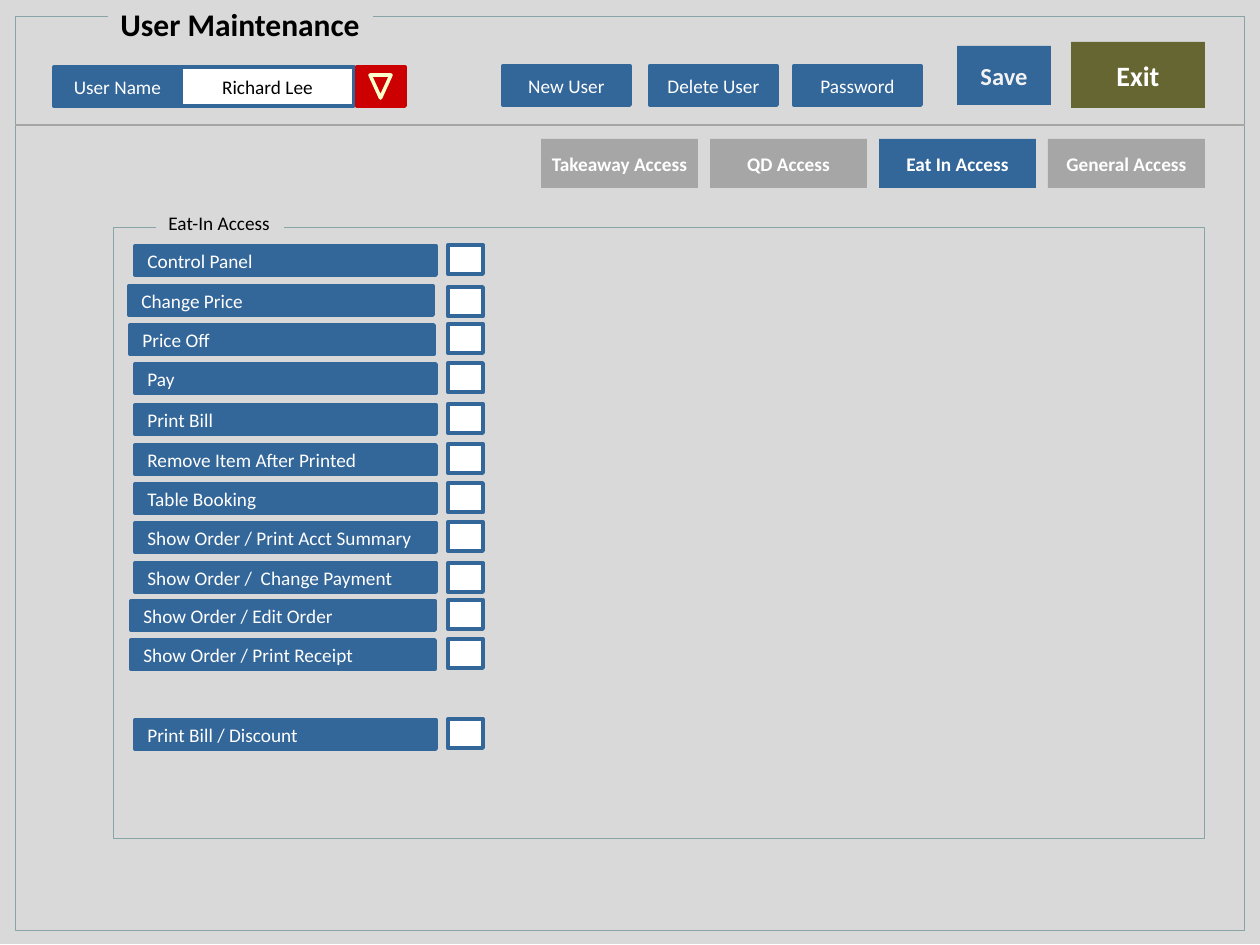
"""Builds the User Maintenance screen mock-up with its Eat-In access list."""
from dataclasses import dataclass

from lxml.etree import SubElement
from pptx import Presentation
from pptx.dml.color import RGBColor
from pptx.enum.shapes import MSO_CONNECTOR as Connector, MSO_SHAPE as Shape
from pptx.enum.text import MSO_ANCHOR as Anchor, PP_ALIGN as Align
from pptx.oxml.ns import qn
from pptx.util import Emu, Pt


@dataclass(frozen=True)
class Theme:
    font: str = "Calibri"
    body: int = 11
    save: int = 14
    exit: int = 16
    title: int = 18
    thin: float = 0.5
    rule: float = 0.75
    arrow: float = 2
    thick: float = 2.25
    blue: str = "336699"
    gray: str = "A6A6A6"
    panel: str = "D9D9D9"
    frame: str = "89A4A7"
    olive: str = "666633"
    red: str = "CC0000"
    cream: str = "FFFFCC"
    white: str = "FFFFFF"
    pale: str = "F2F2F2"
    black: str = "000000"


THEME = Theme()
PX = 914400 / 126
SLIDE_SIZE = (1260, 945)

FRAMES = [(15, 16, 1230, 914), (113, 227, 1092, 612)]
HEADINGS = [
    ("User Maintenance", (108, -1, 265, 50), THEME.title, True),
    ("Eat-In Access", (156, 205, 128, 37), THEME.body, False),
]
USER_BUTTONS = [("New User", 503), ("Delete User", 650), ("Password", 794)]
TABS = ["Takeaway Access", "QD Access", "Eat In Access", "General Access"]
ACTIVE_TAB = "Eat In Access"
TAB_LEFT, TAB_PITCH = 541, 169
BOX_LEFT = 448
PERMISSIONS = [
    ("Control Panel", 135, 246, 245),
    ("Change Price", 129, 286, 287),
    ("Price Off", 130, 325, 324),
    ("Pay", 135, 364, 363),
    ("Print Bill", 135, 405, 404),
    ("Remove Item After Printed", 135, 445, 444),
    ("Table Booking", 135, 484, 483),
    ("Show Order / Print Acct Summary", 135, 523, 522),
    ("Show Order /  Change Payment", 135, 563, 563),
    ("Show Order / Edit Order", 131, 601, 600),
    ("Show Order / Print Receipt", 131, 640, 639),
    ("Print Bill / Discount", 135, 720, 719),
]


def emu(*lengths):
    return [Emu(round(length * PX)) for length in lengths]


def color(value):
    return RGBColor.from_string(value)


def add_box(shapes, bounds, fill=None, line=None, width=THEME.thick, kind=Shape.RECTANGLE):
    shape = shapes.add_shape(kind, *emu(*bounds))
    shape.shadow.inherit = False
    if fill:
        shape.fill.solid()
        shape.fill.fore_color.rgb = color(fill)
    else:
        shape.fill.background()
    if line:
        shape.line.color.rgb = color(line)
        shape.line.width = Pt(width)
    else:
        shape.line.fill.background()
    return shape


def write(shape, text, size=THEME.body, ink=THEME.white, bold=False,
          align=Align.CENTER, anchor=Anchor.MIDDLE):
    frame = shape.text_frame
    frame.word_wrap = False
    frame.vertical_anchor = anchor
    paragraph = frame.paragraphs[0]
    paragraph.text = text
    paragraph.alignment = align
    font = paragraph.font
    font.name, font.size, font.bold = THEME.font, Pt(size), bold
    font.color.rgb = color(ink)


def add_rule(shapes, left, right, y):
    rule = shapes.add_connector(Connector.STRAIGHT, *emu(left, y, right, y))
    rule.line.color.rgb = color(THEME.gray)
    rule.line.width = Pt(THEME.rule)
    SubElement(rule._element.spPr, qn("a:effectLst"))


def add_user_picker(shapes):
    write(add_box(shapes, (181, 67, 173, 39), THEME.white, THEME.blue),
          "Richard Lee", ink=THEME.black)
    write(add_box(shapes, (54, 67, 127, 39), THEME.blue, THEME.blue), "User Name")
    dropdown = shapes.add_group_shape().shapes
    add_box(dropdown, (357, 67, 48, 39), THEME.red, THEME.red)
    arrow = add_box(dropdown, (370, 75, 21, 23), THEME.red, THEME.cream,
                    THEME.arrow, Shape.ISOSCELES_TRIANGLE)
    arrow.rotation = 180


def add_permissions(shapes):
    for label, left, top, box_top in PERMISSIONS:
        width = 301 if left == 135 else 304
        bar = add_box(shapes, (left, top, width, 29), THEME.blue, THEME.blue)
        write(bar, label, align=Align.LEFT)
        add_box(shapes, (BOX_LEFT, box_top, 35, 29), THEME.white, THEME.blue)


def main():
    presentation = Presentation()
    presentation.slide_width, presentation.slide_height = emu(*SLIDE_SIZE)
    slide = presentation.slides.add_slide(presentation.slide_layouts[6])
    shapes = slide.shapes

    add_box(shapes, (0, -1, *SLIDE_SIZE), THEME.panel)
    for bounds in FRAMES:
        add_box(shapes, bounds, line=THEME.frame, width=THEME.thin)
    for text, bounds, size, bold in HEADINGS:
        write(add_box(shapes, bounds, THEME.panel), text, size, THEME.black, bold,
              Align.LEFT, Anchor.TOP)
    add_rule(shapes, 15, 1245, 125)

    add_user_picker(shapes)
    for text, left in USER_BUTTONS:
        write(add_box(shapes, (left, 66, 127, 39), THEME.blue, THEME.blue), text)
    write(add_box(shapes, (957, 46, 94, 59), THEME.blue), "Save", THEME.save, THEME.pale, True)
    write(add_box(shapes, (1071, 42, 134, 66), THEME.olive), "Exit", THEME.exit, bold=True)

    for index, text in enumerate(TABS):
        fill = THEME.blue if text == ACTIVE_TAB else THEME.gray
        bounds = (TAB_LEFT + index * TAB_PITCH, 139, 157, 49)
        write(add_box(shapes, bounds, fill), text, bold=True)
    add_permissions(shapes)

    presentation.save("out.pptx")


if __name__ == "__main__":
    main()
